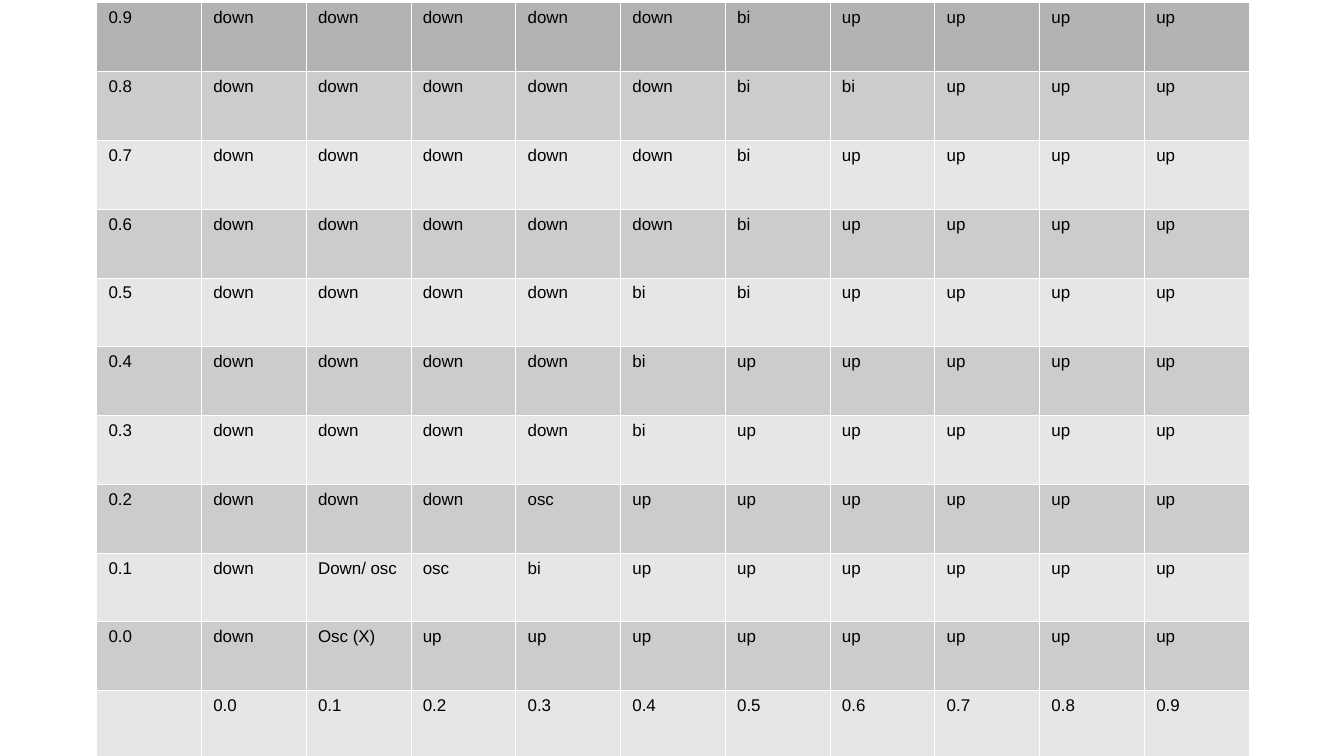
from lxml import etree
from pptx import Presentation
from pptx.dml.color import RGBColor
from pptx.oxml.ns import qn
from pptx.util import Inches, Pt

LEVELS = ["0.0", "0.1", "0.2", "0.3", "0.4", "0.5", "0.6", "0.7", "0.8", "0.9"]
STATES = [
    ["down"] * 5 + ["bi"] + ["up"] * 4,
    ["down"] * 5 + ["bi"] * 2 + ["up"] * 3,
    ["down"] * 5 + ["bi"] + ["up"] * 4,
    ["down"] * 5 + ["bi"] + ["up"] * 4,
    ["down"] * 4 + ["bi"] * 2 + ["up"] * 4,
    ["down"] * 4 + ["bi"] + ["up"] * 5,
    ["down"] * 4 + ["bi"] + ["up"] * 5,
    ["down"] * 3 + ["osc"] + ["up"] * 6,
    ["down", "Down/ osc", "osc", "bi"] + ["up"] * 6,
    ["down", "Osc (X)"] + ["up"] * 8,
]
ROWS = [[level] + states for level, states in zip(reversed(LEVELS), STATES)]
ROWS.append([""] + LEVELS)

TOP_FILL = "B3B3B3"
BAND_FILLS = ["E6E6E6", "CCCCCC"]
TABLE_PLACE = (0.79, 0.02, 9.45, 6.21)
BORDER_WIDTH = Pt(0.06)
BORDER_SIDES = ["a:lnL", "a:lnR", "a:lnT", "a:lnB"]


def color(value):
    return RGBColor.from_string(value)


def write(cell, text, size=10, font="Arial", ink="000000"):
    paragraph = cell.text_frame.paragraphs[0]
    paragraph.font.size = Pt(size)
    if text:
        span = paragraph.add_run()
        span.text = text
        span.font.size = Pt(size)
        span.font.name = font
        span.font.color.rgb = color(ink)


def add_borders(cell, ink="FFFFFF"):
    properties = cell._tc.get_or_add_tcPr()
    for side in BORDER_SIDES:
        line = etree.SubElement(properties, qn(side), w=str(int(BORDER_WIDTH)))
        fill = etree.SubElement(line, qn("a:solidFill"))
        etree.SubElement(fill, qn("a:srgbClr"), val=ink)


def main():
    deck = Presentation()
    deck.slide_width, deck.slide_height = Inches(11.02), Inches(6.2)
    page = deck.slides.add_slide(deck.slide_layouts[6])
    place = [Inches(length) for length in TABLE_PLACE]
    table = page.shapes.add_table(len(ROWS), len(ROWS[0]), *place).table
    table.first_row = False
    table.horz_banding = False

    for row, texts in enumerate(ROWS):
        band = BAND_FILLS[row % 2] if row else TOP_FILL
        for column, text in enumerate(texts):
            cell = table.cell(row, column)
            write(cell, text)
            add_borders(cell)
            cell.fill.solid()
            cell.fill.fore_color.rgb = color(band)

    deck.save("out.pptx")


if __name__ == "__main__":
    main()
